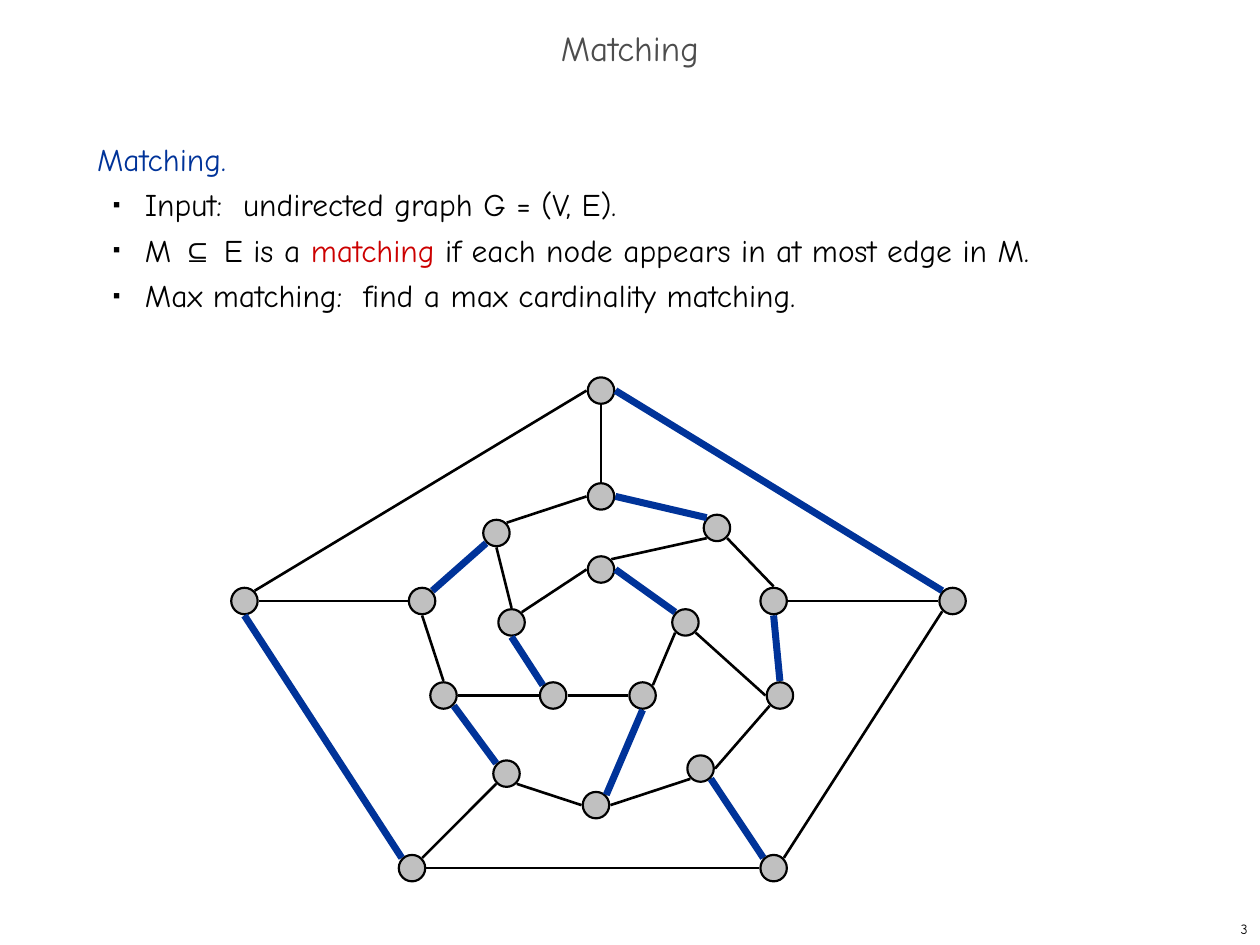
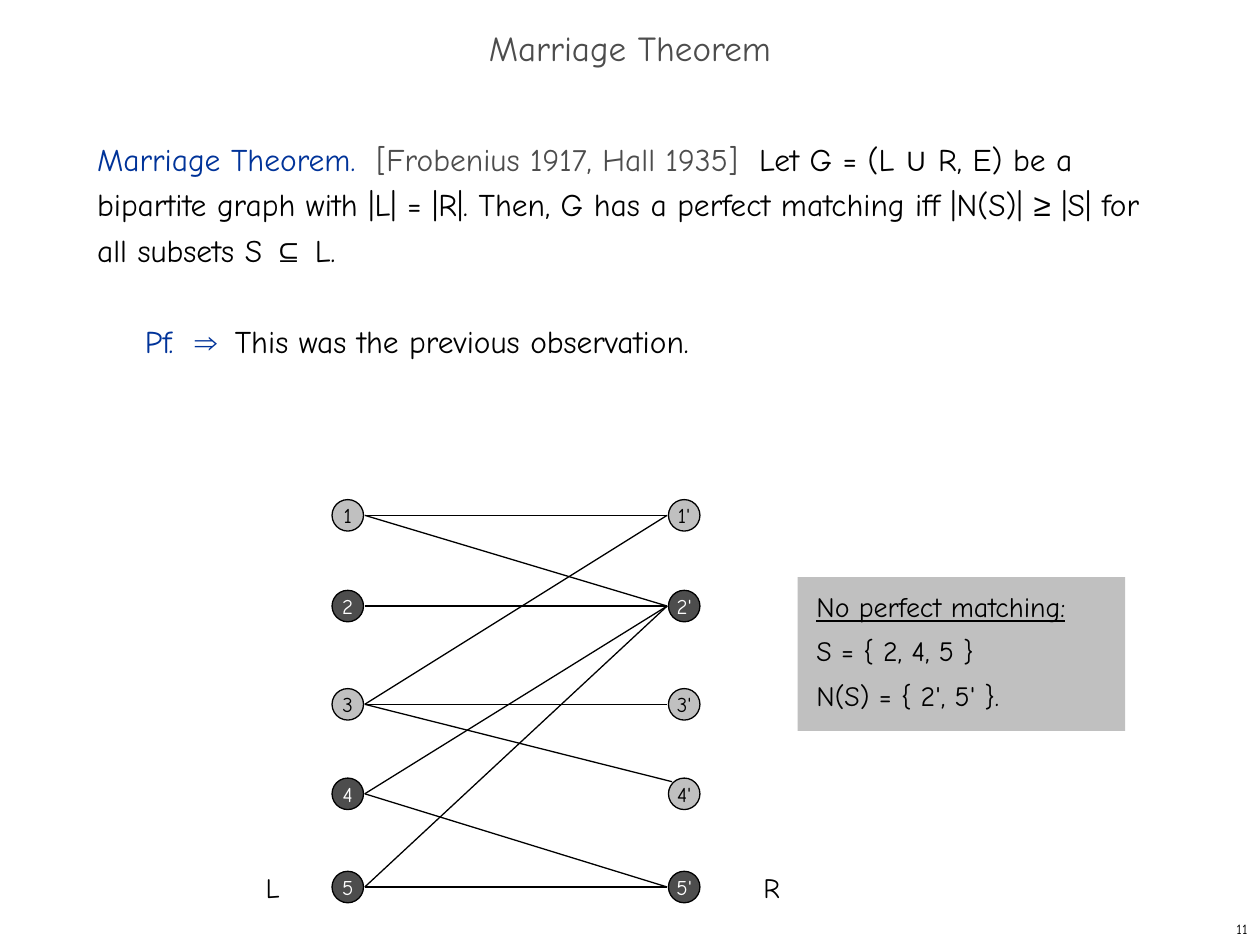
from typing import NamedTuple, Sequence

from lxml import etree
from pptx import Presentation
from pptx.dml.color import RGBColor
from pptx.enum import shapes, text
from pptx.oxml.ns import qn
from pptx.util import Inches, Pt

FONT, SYMBOL_FONT = "Comic Neue", "Arial"
BLACK, WHITE, BLUE, RED = "000000", "FFFFFF", "003399", "CC0000"
LIGHT_GRAY, DARK_GRAY = "C0C0C0", "4D4D4D"
BODY_LINE = Pt(26)
HANGING, BULLET_INDENT = Inches(0.38), Inches(-0.25)
ALIGN, ANCHOR = text.PP_ALIGN, text.MSO_ANCHOR

# Unit steps from a node's centre to its eight connection points
DIAGONAL = 0.71
SIDES = {
    "n": (0, -1), "e": (1, 0), "s": (0, 1), "w": (-1, 0),
    "ne": (DIAGONAL, -DIAGONAL), "nw": (-DIAGONAL, -DIAGONAL),
    "se": (DIAGONAL, DIAGONAL), "sw": (-DIAGONAL, DIAGONAL),
}


class Run(NamedTuple):
    text: str
    color: str = BLACK
    font: str = FONT


class Node(NamedTuple):
    x: float
    y: float
    label: str = ""
    dark: bool = False


class Edge(NamedTuple):
    start: str
    start_side: str
    end: str
    end_side: str
    matched: bool = False


class GraphStyle(NamedTuple):
    diameter: float
    outline: float
    edge: float
    gap: float = 0.01


PENTAGONS = {
    "outer0": Node(4.77, 3.1), "outer1": Node(7.56, 4.77),
    "outer2": Node(6.14, 6.89), "outer3": Node(3.27, 6.89),
    "outer4": Node(1.94, 4.77),
    "ring0": Node(4.77, 3.94), "ring1": Node(5.69, 4.19),
    "ring2": Node(6.14, 4.77), "ring3": Node(6.19, 5.52),
    "ring4": Node(5.56, 6.1), "ring5": Node(4.73, 6.39),
    "ring6": Node(4.02, 6.14), "ring7": Node(3.52, 5.52),
    "ring8": Node(3.35, 4.77), "ring9": Node(3.94, 4.23),
    "core0": Node(4.77, 4.52), "core1": Node(5.44, 4.94),
    "core2": Node(5.1, 5.52), "core3": Node(4.39, 5.52),
    "core4": Node(4.06, 4.94),
}

PENTAGON_EDGES = [
    Edge("outer0", "e", "outer1", "nw", True),
    Edge("outer2", "ne", "outer1", "sw"),
    Edge("outer3", "e", "outer2", "w"),
    Edge("outer3", "nw", "outer4", "s", True),
    Edge("outer4", "ne", "outer0", "w"),
    Edge("ring0", "e", "ring1", "nw", True),
    Edge("ring2", "n", "ring1", "se"),
    Edge("ring3", "n", "ring2", "s", True),
    Edge("ring3", "sw", "ring4", "e"),
    Edge("ring5", "e", "ring4", "sw"),
    Edge("ring6", "se", "ring5", "w"),
    Edge("ring7", "se", "ring6", "nw", True),
    Edge("ring8", "s", "ring7", "n"),
    Edge("ring9", "sw", "ring8", "ne", True),
    Edge("ring0", "w", "ring9", "ne"),
    Edge("core0", "e", "core1", "nw", True),
    Edge("core2", "ne", "core1", "sw"),
    Edge("core3", "e", "core2", "w"),
    Edge("core3", "nw", "core4", "s", True),
    Edge("core4", "ne", "core0", "w"),
    Edge("ring0", "n", "outer0", "s"),
    Edge("ring2", "e", "outer1", "w"),
    Edge("outer2", "nw", "ring4", "se", True),
    Edge("ring6", "sw", "outer3", "ne"),
    Edge("ring8", "w", "outer4", "e"),
    Edge("ring1", "sw", "core0", "ne"),
    Edge("ring3", "w", "core1", "se"),
    Edge("core2", "s", "ring5", "ne", True),
    Edge("core3", "w", "ring7", "e"),
    Edge("core4", "n", "ring9", "s"),
]

LEFT_X, RIGHT_X = 2.76, 5.43
ROW_YS = (4.09, 4.81, 5.59, 6.3, 7.04)
DARK_LABELS = {"2", "4", "5", "2'", "5'"}
BIPARTITE_PAIRS = ["11'", "12'", "22'", "31'", "33'", "34'", "42'", "45'", "52'", "55'"]


def rgb(color: str) -> RGBColor:
    return RGBColor.from_string(color)


def add_bullet(paragraph) -> None:
    properties = paragraph._p.get_or_add_pPr()
    color = etree.SubElement(properties, qn("a:buClr"))
    etree.SubElement(color, qn("a:srgbClr"), val=BLACK)
    etree.SubElement(properties, qn("a:buSzPct"), val="35000")
    etree.SubElement(properties, qn("a:buFont"), typeface=SYMBOL_FONT)
    etree.SubElement(properties, qn("a:buChar"), char="■")


def write(frame, content: str | Sequence[Run], *, size: float, color: str = BLACK,
          align=ALIGN.LEFT, spacing=1.0, before: float = 0, left=0, indent=0,
          bullet: bool = False, underline: bool = False) -> None:
    """Fill the frame's empty first paragraph, or append a new one."""
    paragraph = frame.add_paragraph() if frame.text else frame.paragraphs[0]
    paragraph.level = 1 if left else 0
    properties = paragraph._p.get_or_add_pPr()
    properties.set("marL", str(left))
    properties.set("indent", str(indent))
    if bullet:
        add_bullet(paragraph)
    else:
        etree.SubElement(properties, qn("a:buNone"))
    paragraph.alignment = align
    paragraph.line_spacing = spacing
    paragraph.space_before = Pt(before)
    for part in [Run(content, color)] if isinstance(content, str) else content:
        run = paragraph.add_run()
        run.text = part.text
        run.font.name = part.font
        run.font.size = Pt(size)
        run.font.color.rgb = rgb(part.color)
        run.font.underline = underline


def place(shape, left: float, top: float, width: float, height: float) -> None:
    shape.left, shape.top = Inches(left), Inches(top)
    shape.width, shape.height = Inches(width), Inches(height)


def add_textbox(slide, left: float, top: float, width: float, height: float,
                wrap: bool = True):
    box = slide.shapes.add_textbox(Inches(left), Inches(top), Inches(width), Inches(height))
    box.text_frame.word_wrap = wrap
    return box.text_frame


def add_slide(presentation, title: str, number: int):
    """Add a slide with its title and page number; return it with its body frame."""
    slide = presentation.slides.add_slide(presentation.slide_layouts[1])
    heading, body = slide.shapes.title, slide.placeholders[1]
    place(heading, 0, 0.17, 10, 0.5)
    place(body, 0.67, 1, 8.58, 5.92)
    for placeholder, anchor in ((heading, ANCHOR.MIDDLE), (body, ANCHOR.TOP)):
        placeholder.text_frame.auto_size = text.MSO_AUTO_SIZE.NONE
        placeholder.text_frame.vertical_anchor = anchor
    write(heading.text_frame, title, size=20, color=DARK_GRAY,
          align=ALIGN.CENTER, spacing=0.7)
    page = add_textbox(slide, 7.92, 7.25, 2.08, 0.25)
    page.vertical_anchor = ANCHOR.MIDDLE
    write(page, str(number), size=8, align=ALIGN.RIGHT)
    return slide, body.text_frame


def add_line(slide, start: tuple[float, float], end: tuple[float, float],
             color: str, width: float) -> None:
    line = slide.shapes.add_connector(
        shapes.MSO_CONNECTOR.STRAIGHT, *map(Inches, (*start, *end)))
    line.line.color.rgb = rgb(color)
    line.line.width = Pt(width)
    etree.SubElement(line._element.spPr, qn("a:effectLst"))


def add_filled_shape(slide, kind, left: float, top: float, width: float,
                     height: float, fill: str):
    shape = slide.shapes.add_shape(kind, *map(Inches, (left, top, width, height)))
    shape.shadow.inherit = False
    shape.fill.solid()
    shape.fill.fore_color.rgb = rgb(fill)
    return shape


def draw_node(slide, node: Node, style: GraphStyle) -> None:
    radius = style.diameter / 2
    circle = add_filled_shape(
        slide, shapes.MSO_SHAPE.OVAL, node.x - radius, node.y - radius,
        style.diameter, style.diameter, DARK_GRAY if node.dark else LIGHT_GRAY)
    circle.line.color.rgb = rgb(BLACK)
    circle.line.width = Pt(style.outline)
    if node.label:
        circle.text_frame.word_wrap = False
        circle.text_frame.vertical_anchor = ANCHOR.MIDDLE
        write(circle.text_frame, node.label, size=12, align=ALIGN.CENTER,
              color=WHITE if node.dark else BLACK)


def draw_graph(slide, nodes: dict[str, Node], edges: Sequence[Edge],
               style: GraphStyle) -> None:
    """Draw nodes, then all edges, then the matching on top."""
    reach = style.diameter / 2 + style.gap

    def contact(name: str, side: str) -> tuple[float, float]:
        dx, dy = SIDES[side]
        return nodes[name].x + reach * dx, nodes[name].y + reach * dy

    for node in nodes.values():
        draw_node(slide, node, style)
    matching = [edge for edge in edges if edge.matched]
    for group, color, width in ((edges, BLACK, style.edge), (matching, BLUE, 4)):
        for edge in group:
            add_line(slide, contact(edge.start, edge.start_side),
                     contact(edge.end, edge.end_side), color, width)


def build_matching(presentation) -> None:
    slide, body = add_slide(presentation, "Matching", 3)
    write(body, "Matching.", size=18, color=BLUE, spacing=BODY_LINE)
    bullets = [
        "Input:  undirected graph G = (V, E).",
        [Run("M "), Run("⊆", font=SYMBOL_FONT), Run(" E is a "), Run("matching", RED),
         Run(" if each node appears in at most edge in M.")],
        "Max matching:  find a max cardinality matching.",
    ]
    for content in bullets:
        write(body, content, size=18, spacing=BODY_LINE, left=HANGING,
              indent=BULLET_INDENT, bullet=True)
    draw_graph(slide, PENTAGONS, PENTAGON_EDGES, GraphStyle(0.21, 1.25, 1.5))


def build_marriage_theorem(presentation) -> None:
    slide, body = add_slide(presentation, "Marriage Theorem", 11)
    write(body, [
        Run("Marriage Theorem.  ", BLUE),
        Run("[Frobenius 1917, Hall 1935]  ", DARK_GRAY),
        Run("Let G = (L "), Run("∪", font=SYMBOL_FONT),
        Run(" R, E) be a bipartite graph with |L| = |R|. "
            "Then, G has a perfect matching iff |N(S)| "),
        Run("≥", font=SYMBOL_FONT), Run(" |S| for all subsets S "),
        Run("⊆", font=SYMBOL_FONT), Run(" L."),
    ], size=18, spacing=BODY_LINE)
    write(body, [Run("Pf.  ", BLUE), Run("⇒  ", BLUE, SYMBOL_FONT),
                 Run("This was the previous observation.")],
          size=18, spacing=BODY_LINE, before=26, left=HANGING)

    nodes = {}
    for row, y in enumerate(ROW_YS, start=1):
        for label, x in ((f"{row}", LEFT_X), (f"{row}'", RIGHT_X)):
            nodes[label] = Node(x, y, label, label in DARK_LABELS)
    edges = [Edge(pair[0], "e", pair[1:], "nw" if pair == "34'" else "w")
             for pair in BIPARTITE_PAIRS]
    draw_graph(slide, nodes, edges, GraphStyle(0.25, 0.75, 0.75))
    for side, left in (("L", 2.01), ("R", 5.96)):
        write(add_textbox(slide, left, 6.86, 0.32, 0.37, wrap=False), side, size=16)

    note = add_filled_shape(slide, shapes.MSO_SHAPE.RECTANGLE, 6.33, 4.58, 2.6, 1.22,
                            LIGHT_GRAY)
    note.line.fill.background()
    frame = note.text_frame
    frame.word_wrap = True
    frame.vertical_anchor = ANCHOR.TOP
    frame.margin_left = frame.margin_right = Inches(0.15)
    frame.margin_top = frame.margin_bottom = Inches(0.15)
    write(frame, "No perfect matching:", size=16, spacing=0.8, underline=True)
    for line in ("S = { 2, 4, 5 }", "N(S) = { 2', 5' }."):
        write(frame, line, size=16, spacing=0.8, before=10)


def main() -> None:
    presentation = Presentation()
    presentation.slide_width, presentation.slide_height = Inches(10), Inches(7.5)
    build_matching(presentation)
    build_marriage_theorem(presentation)
    presentation.save("out.pptx")


if __name__ == "__main__":
    main()
